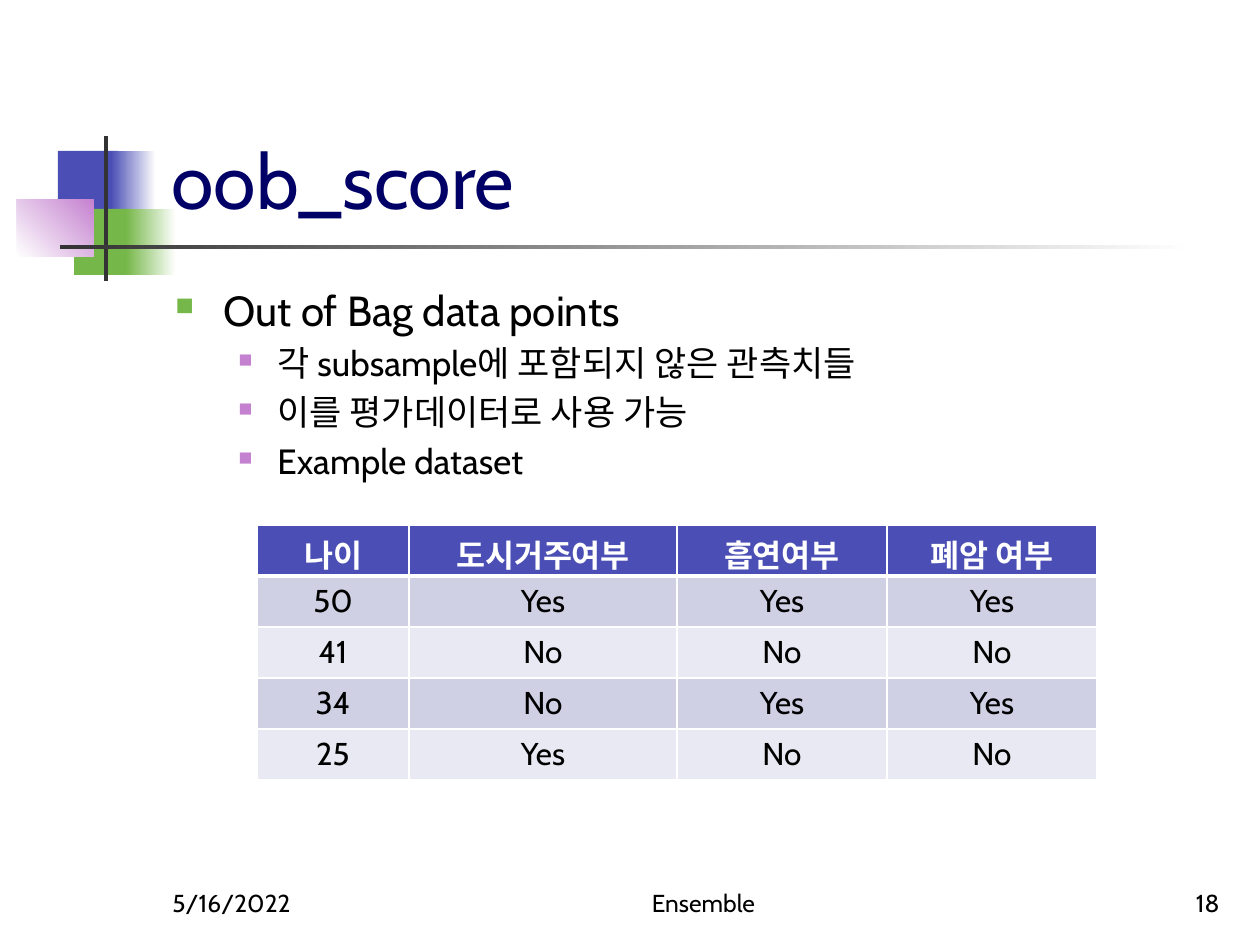
from lxml import etree
from pptx import Presentation
from pptx import util as u
from pptx.dml import color
from pptx.enum import shapes, text
from pptx.oxml import ns

PX = 914400 / 126
FONT = "Cabin"
COLORS = {
    "blue": "4B4EB5", "green": "76B749", "pink": "C481CF", "dark": "333333",
    "navy": "000066", "black": "000000", "white": "FFFFFF",
    "band": "D0D0E5", "pale": "E9E9F3",
}
LEFT, CENTER, RIGHT = text.PP_ALIGN.LEFT, text.PP_ALIGN.CENTER, text.PP_ALIGN.RIGHT
BOTTOM = text.MSO_ANCHOR.BOTTOM


def px(length):
    """Turn pixels into EMU."""
    return u.Emu(round(length * PX))


def rgb(name):
    """Look up a named colour."""
    return color.RGBColor.from_string(COLORS[name])


def add_xml(parent, tag, **attributes):
    """Append a drawing element to its parent."""
    return etree.SubElement(parent, ns.qn(tag), attributes)


def style(paragraph, size, shade, align=LEFT, bold=False):
    """Format a paragraph and its runs."""
    paragraph.alignment = align
    for run in paragraph.runs:
        run.font.name, run.font.size, run.font.bold = FONT, u.Pt(size), bold
        run.font.color.rgb = rgb(shade)


def add_text(slide, box, lines, anchor):
    """Add a wrapping text box and return its paragraphs."""
    frame = slide.shapes.add_textbox(*map(px, box)).text_frame
    frame.word_wrap = True
    frame.vertical_anchor = anchor
    frame.text = "\n".join(lines)
    return frame.paragraphs


def add_block(slide, box, shades, angle=0):
    """Add a borderless rectangle with a plain or two-stop gradient fill."""
    block = slide.shapes.add_shape(shapes.MSO_SHAPE.RECTANGLE, *map(px, box))
    block.shadow.inherit = False
    block.line.fill.background()
    if len(shades) == 1:
        block.fill.solid()
        block.fill.fore_color.rgb = rgb(shades[0])
        return
    block.fill.gradient()
    block.fill.gradient_angle = angle
    for stop, shade, position in zip(block.fill.gradient_stops, shades, (0, 1)):
        stop.color.rgb = rgb(shade)
        stop.position = position


def draw_ornament(slide, box):
    """Draw the overlapping squares and the crossing rules."""
    left, top, width, height = box
    for x, y, w, h, shades, angle in (
        (41, 15, 60, 66, ("blue",), 0),
        (94, 15, 45, 66, ("blue", "white"), 0),
        (57, 73, 58, 66, ("green",), 0),
        (109, 73, 50, 66, ("green", "white"), 0),
        (0, 63, 77, 58, ("white", "pink"), 45),
        (87, 0, 4, height, ("dark",), 0),
        (43, 109, width - 43, 4, ("dark", "white"), 0),
    ):
        add_block(slide, (left + x, top + y, w, h), shades, angle)


def draw_title(slide, box, title):
    """Write the slide title."""
    style(add_text(slide, box, [title], BOTTOM)[0], 44, "navy")


def draw_bullets(slide, box, points):
    """Write the bulleted points, each with its level."""
    levels = (
        (24, "green", "60000", 48, 48),
        (20, "pink", "55000", 102, 39),
    )
    lines = [line for _, line in points]
    paragraphs = add_text(slide, box, lines, text.MSO_ANCHOR.TOP)
    for paragraph, (level, _) in zip(paragraphs, points):
        size, shade, scale, margin, hanging = levels[level]
        style(paragraph, size, "black")
        paragraph.level = level
        paragraph.space_before = u.Pt(size * 0.2)
        props = paragraph._p.get_or_add_pPr()
        props.set("marL", str(px(margin)))
        props.set("indent", str(-px(hanging)))
        add_xml(add_xml(props, "a:buClr"), "a:srgbClr", val=COLORS[shade])
        add_xml(props, "a:buSzPct", val=scale)
        add_xml(props, "a:buFont", typeface="Wingdings")
        add_xml(props, "a:buChar", char="n")


def add_borders(cell):
    """Give a header cell white borders with a heavy bottom edge."""
    props = cell._tc.get_or_add_tcPr()
    for side, points in (("L", 1), ("R", 1), ("T", 1), ("B", 3)):
        edge = add_xml(props, f"a:ln{side}", w=str(u.Pt(points)))
        add_xml(add_xml(edge, "a:solidFill"), "a:srgbClr", val=COLORS["white"])


def draw_dataset(slide, box, widths, rows):
    """Build the banded example table."""
    table = slide.shapes.add_table(len(rows), len(widths), *map(px, box)).table
    for column, width in zip(table.columns, widths):
        column.width = px(width)
    for r, row in enumerate(rows):
        table.rows[r].height = px(box[3] / len(rows))
        header = r == 0
        fill = "blue" if header else ("pale", "band")[r % 2]
        for c, value in enumerate(row):
            cell = table.cell(r, c)
            if header:
                add_borders(cell)
            cell.fill.solid()
            cell.fill.fore_color.rgb = rgb(fill)
            cell.vertical_anchor = text.MSO_ANCHOR.MIDDLE
            cell.text = value
            style(cell.text_frame.paragraphs[0], 18,
                  "white" if header else "black", CENTER, header)


def draw_footer(slide, box, date, topic, number):
    """Write the date, topic and slide number along the bottom."""
    left, top, width, height = box
    for x, w, label, align in (
        (0, 262, date, LEFT),
        (344, 399, topic, CENTER),
        (width - 262, 262, number, RIGHT),
    ):
        line = add_text(slide, (left + x, top, w, height), [label], BOTTOM)[0]
        style(line, 14, "black", align)


def main():
    """Build and save the slide."""
    deck = Presentation()
    deck.slide_width, deck.slide_height = px(1260), px(945)
    slide = deck.slides.add_slide(deck.slide_layouts[6])
    draw_ornament(slide, (17, 136, 1177, 145))
    draw_title(slide, (159, 29, 1074, 202), "oob_score")
    draw_bullets(slide, (163, 278, 1071, 567), (
        (0, "Out of Bag data points"),
        (1, "각 subsample에 포함되지 않은 관측치들"),
        (1, "이를 평가데이터로 사용 가능"),
        (1, "Example dataset"),
    ))
    draw_footer(slide, (160, 861, 1072, 63), "5/16/2022", "Ensemble", "18")
    draw_dataset(slide, (257, 525, 840, 255), (152, 268, 210, 210), (
        ("나이", "도시거주여부", "흡연여부", "폐암 여부"),
        ("50", "Yes", "Yes", "Yes"),
        ("41", "No", "No", "No"),
        ("34", "No", "Yes", "Yes"),
        ("25", "Yes", "No", "No"),
    ))
    deck.save("out.pptx")


main()
